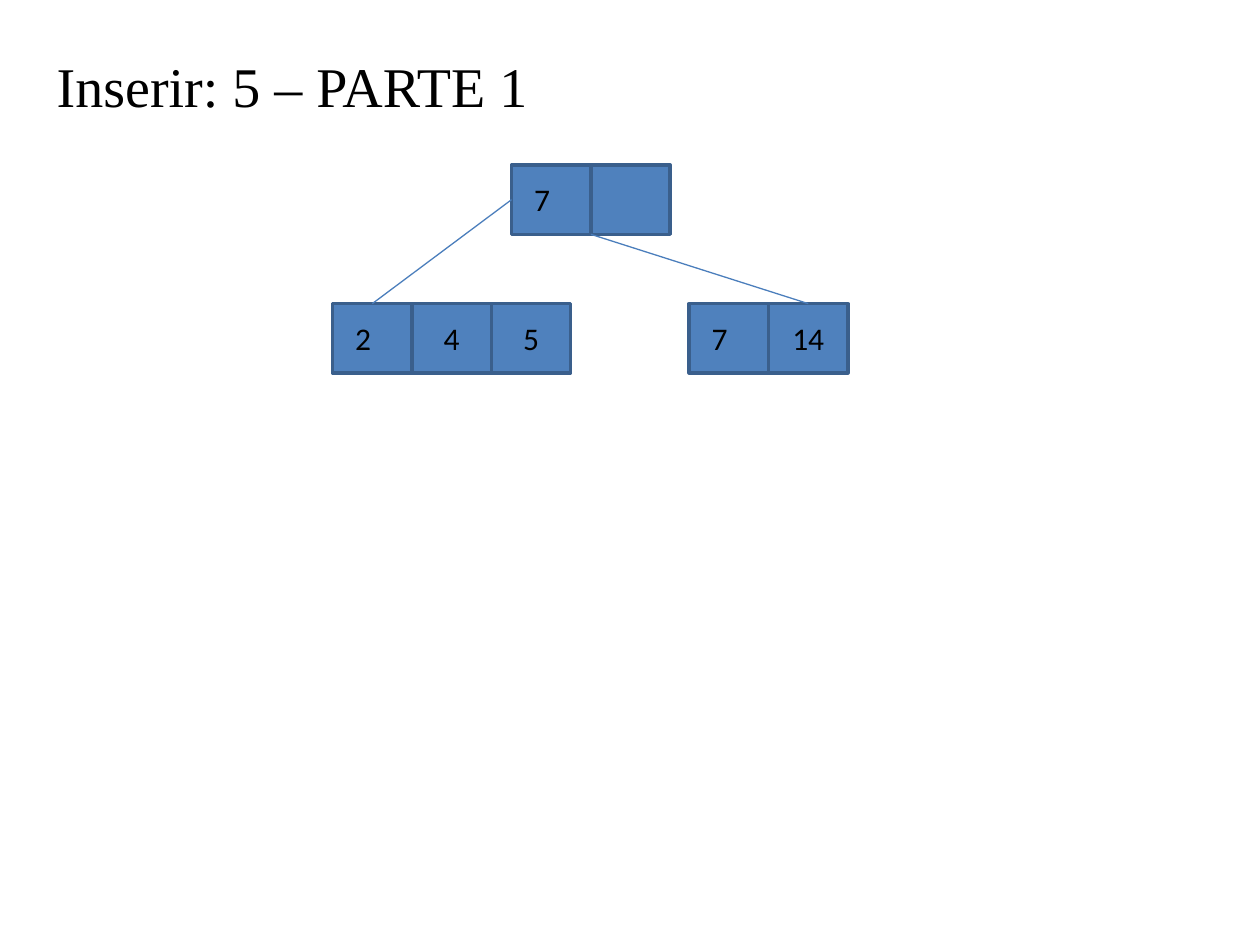
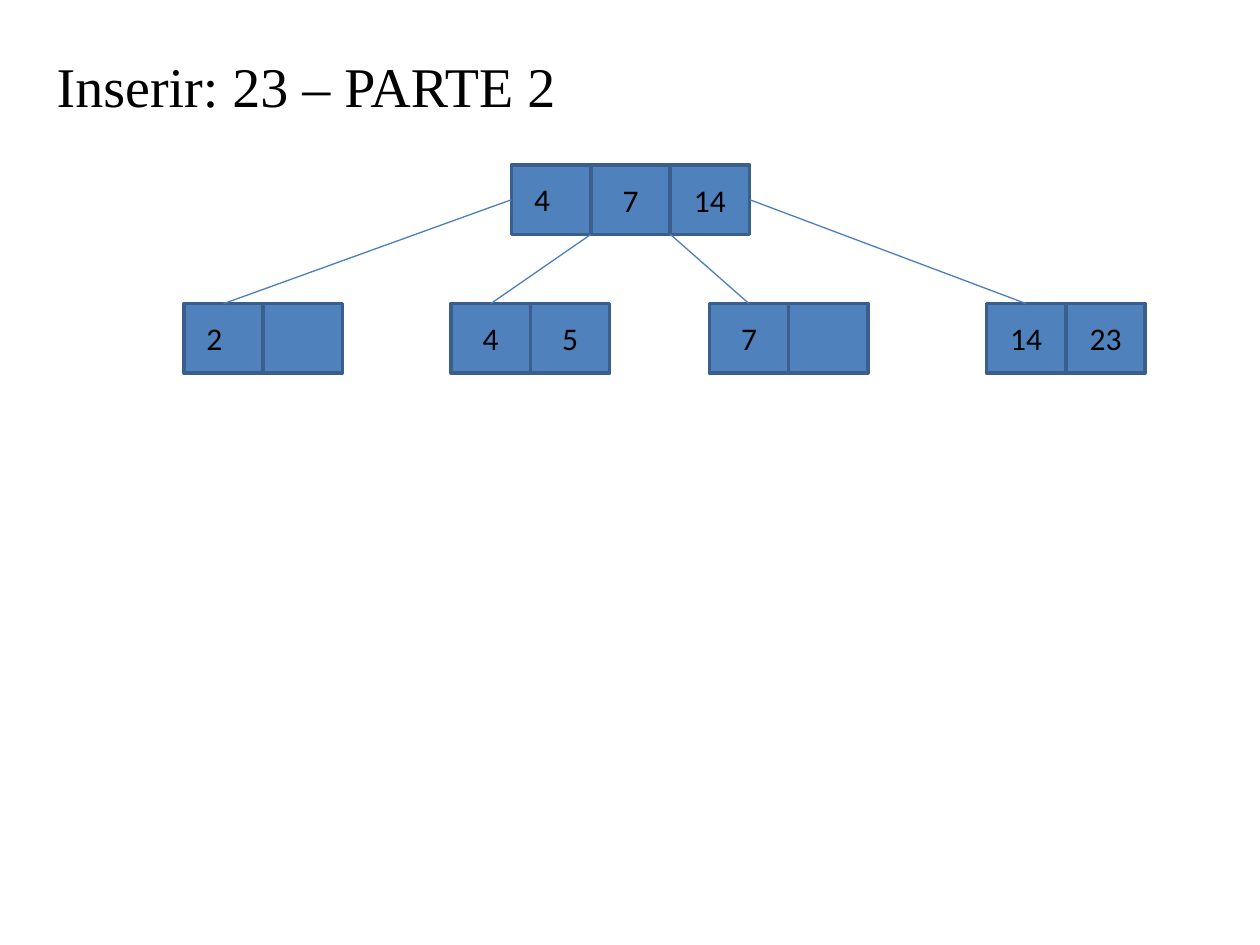
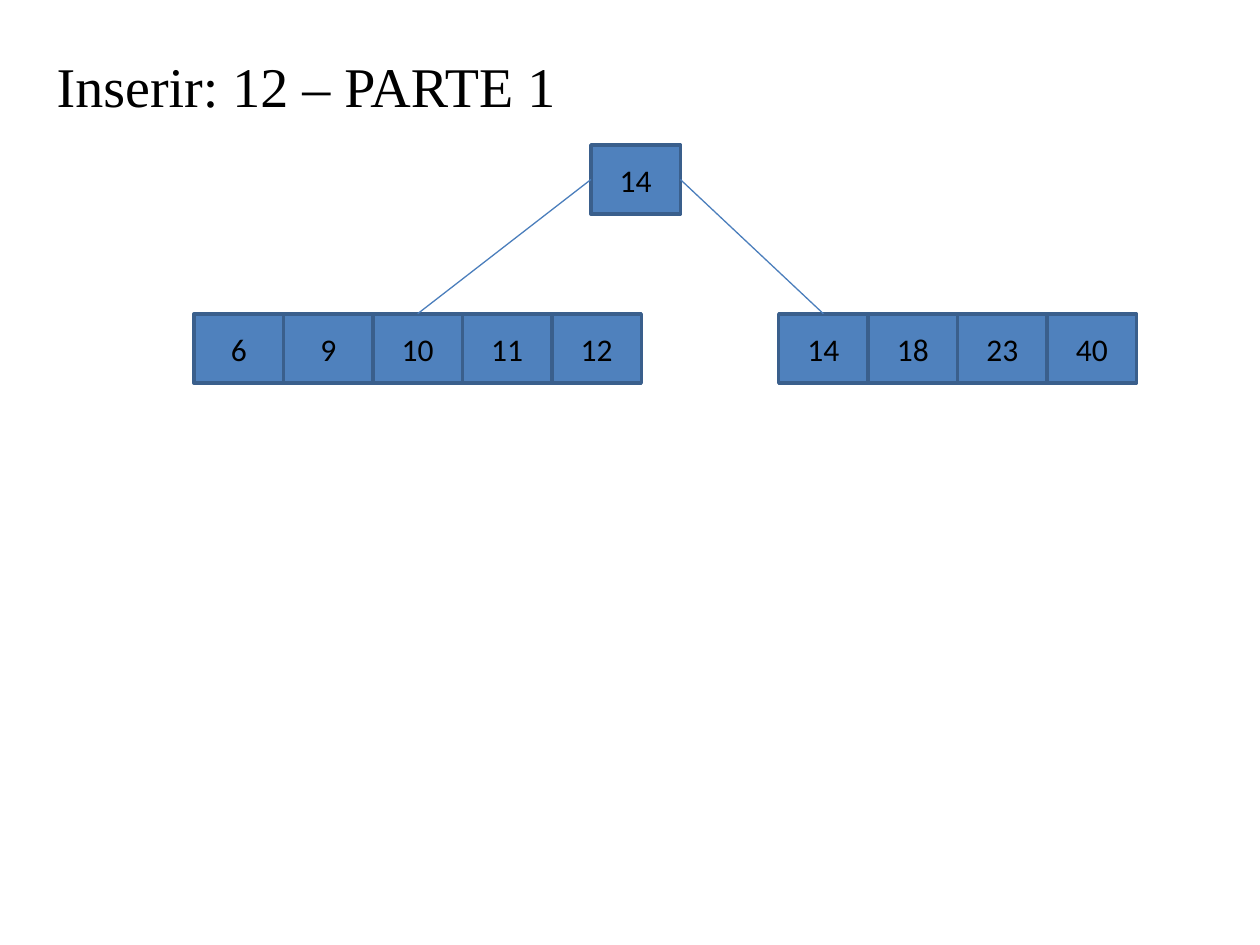
import pptx
import pptx.util
import pptx.dml.color
import pptx.enum.shapes
import pptx.enum.text
import pptx.oxml.ns
from lxml import etree

Inches = pptx.util.Inches
Pt = pptx.util.Pt

COLORS = {"cell": "4F81BD", "border": "3A5F8C", "link": "4B7EBC", "text": "000000"}
TITLE_FONT = "Times New Roman"
KEY_FONT = "Calibri"
CELL_HEIGHT = 0.55

# A node is (left, keys, first key in its own text box); a link is (root gap, leaf, cell).
TREES = [
    {
        "title": "Inserir: 5 – PARTE 1", "title_size": (4.5, 0.94),
        "cell_width": 0.63, "root_top": 1.31, "leaf_top": 2.41,
        "root": (4.06, ["7", ""], True),
        "leaves": [(2.64, ["2", "4", "5"], True), (5.47, ["7", "14"], True)],
        "links": [(0, 0, 0), (1, 1, 1)],
    },
    {
        "title": "Inserir: 23 – PARTE 2", "title_size": (4.5, 0.94),
        "cell_width": 0.63, "root_top": 1.31, "leaf_top": 2.41,
        "root": (4.06, ["4", "7", "14"], True),
        "leaves": [
            (1.46, ["2", ""], True),
            (3.58, ["4", "5"], False),
            (5.63, ["7", ""], False),
            (7.83, ["14", "23"], False),
        ],
        "links": [(0, 0, 0), (1, 1, 0), (2, 2, 0), (3, 3, 0)],
    },
    {
        "title": "Inserir: 12 – PARTE 1", "title_size": (5.28, 1.02),
        "cell_width": 0.71, "root_top": 1.15, "leaf_top": 2.49,
        "root": (4.69, ["14"], False),
        "leaves": [
            (1.54, ["6", "9", "10", "11", "12"], False),
            (6.18, ["14", "18", "23", "40"], False),
        ],
        "links": [(0, 0, 2), (1, 1, 0)],
    },
]


def color(name):
    return pptx.dml.color.RGBColor.from_string(COLORS[name])


def add_text(paragraph, text, font_name, size):
    run = paragraph.add_run()
    run.text = text
    run.font.name = font_name
    run.font.size = Pt(size)
    run.font.color.rgb = color("text")


def add_title(slide, text, size):
    title = slide.shapes.title
    title.left, title.top = Inches(0.35), Inches(0.29)
    title.width, title.height = Inches(size[0]), Inches(size[1])
    frame = title.text_frame
    frame.auto_size = pptx.enum.text.MSO_AUTO_SIZE.NONE
    frame.vertical_anchor = pptx.enum.text.MSO_ANCHOR.TOP
    frame.margin_top = Inches(0.12)
    paragraph = frame.paragraphs[0]
    paragraph.alignment = pptx.enum.text.PP_ALIGN.JUSTIFY
    add_text(paragraph, text, TITLE_FONT, 32)


def add_cell(slide, left, top, width):
    cell = slide.shapes.add_shape(
        pptx.enum.shapes.MSO_SHAPE.RECTANGLE,
        Inches(left), Inches(top), Inches(width), Inches(CELL_HEIGHT))
    cell.shadow.inherit = False
    cell.fill.solid()
    cell.fill.fore_color.rgb = color("cell")
    cell.line.color.rgb = color("border")
    cell.line.width = Pt(2)
    return cell


def add_node(slide, node, top, width):
    left, keys, boxed = node
    cells = []
    for index, key in enumerate(keys):
        cell_left = left + index * width
        cell = add_cell(slide, cell_left, top, width)
        cells.append(cell)
        if not key:
            continue
        if boxed and index == 0:
            holder = slide.shapes.add_textbox(
                Inches(cell_left + 0.08), Inches(top + 0.07), Inches(0.47), Inches(0.4))
            holder.text_frame.word_wrap = True
            alignment = pptx.enum.text.PP_ALIGN.LEFT
        else:
            holder = cell
            holder.text_frame.vertical_anchor = pptx.enum.text.MSO_ANCHOR.MIDDLE
            alignment = pptx.enum.text.PP_ALIGN.CENTER
        paragraph = holder.text_frame.paragraphs[0]
        paragraph.alignment = alignment
        add_text(paragraph, key, KEY_FONT, 18)
    return cells


def add_link(slide, root_cells, gap, child):
    first = root_cells[0]
    boundary = first.left + gap * first.width
    connector = slide.shapes.add_connector(
        pptx.enum.shapes.MSO_CONNECTOR.STRAIGHT,
        boundary, first.top + first.height, child.left + child.width // 2, child.top)
    if gap == 0:
        connector.begin_connect(first, 1)
    elif gap == len(root_cells):
        connector.begin_connect(root_cells[-1], 3)
    connector.end_connect(child, 0)
    connector.line.color.rgb = color("link")
    connector.line.width = Pt(0.75)
    etree.SubElement(connector._element.spPr, pptx.oxml.ns.qn("a:effectLst"))


def build_slide(presentation, tree):
    slide = presentation.slides.add_slide(presentation.slide_layouts[5])
    add_title(slide, tree["title"], tree["title_size"])
    width = tree["cell_width"]
    root_cells = add_node(slide, tree["root"], tree["root_top"], width)
    leaves = [add_node(slide, leaf, tree["leaf_top"], width) for leaf in tree["leaves"]]
    for gap, leaf, cell in tree["links"]:
        add_link(slide, root_cells, gap, leaves[leaf][cell])


def main():
    presentation = pptx.Presentation()
    presentation.slide_width = Inches(10)
    presentation.slide_height = Inches(7.5)
    for tree in TREES:
        build_slide(presentation, tree)
    presentation.save("out.pptx")


if __name__ == "__main__":
    main()
